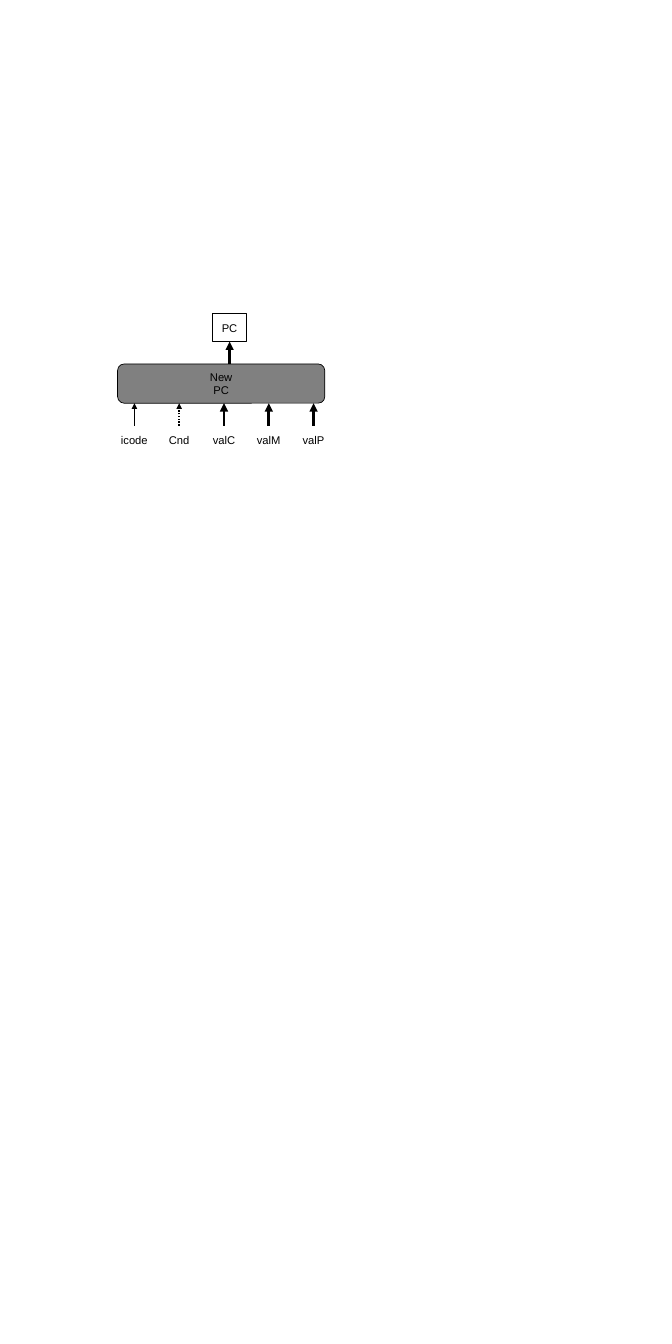
from lxml.etree import SubElement
from pptx import Presentation
from pptx.dml.color import RGBColor
from pptx.enum.dml import MSO_LINE
from pptx.enum.shapes import MSO_CONNECTOR, MSO_SHAPE
from pptx.enum.text import MSO_ANCHOR, PP_ALIGN
from pptx.oxml.ns import qn
from pptx.util import Pt

COLORS = {"ink": "000000", "logic": "808080", "register": "FFFFFF"}
TOP, BOTTOM = 0, 2

# Signal name, arrow weight, arrow dash
SIGNALS = [
    ("icode", 1, None),
    ("Cnd", 1.5, MSO_LINE.ROUND_DOT),
    ("valC", 3, None),
    ("valM", 3, None),
    ("valP", 3, None),
]
SIGNAL_LEFT, SIGNAL_TOP, SIGNAL_STEP = 126, 456, 48
CELL_WIDTH, CELL_HEIGHT = 36, 30
LOGIC_TOP, LOGIC_HEIGHT = 390, 42


def color(name):
    return RGBColor.from_string(COLORS[name])


def add_box(page, text, left, top, width=CELL_WIDTH, height=CELL_HEIGHT,
            kind=MSO_SHAPE.RECTANGLE, fill=None):
    """Add a shape with centred text; without a fill it has no outline either."""
    box = page.shapes.add_shape(kind, Pt(left), Pt(top), Pt(width), Pt(height))
    box.shadow.inherit = False
    if fill:
        box.fill.solid()
        box.fill.fore_color.rgb = color(fill)
        box.line.color.rgb = color("ink")
        box.line.width = Pt(0.75)
    else:
        box.fill.background()
        box.line.fill.background()
    frame = box.text_frame
    frame.word_wrap = False
    frame.vertical_anchor = MSO_ANCHOR.MIDDLE
    frame.text = text
    for para in frame.paragraphs:
        para.alignment = PP_ALIGN.CENTER
        para.font.name = "Arial"
        para.font.size = Pt(12)
        para.font.color.rgb = color("ink")
    return box


def add_up_arrow(page, x, start, end, weight, dash=None):
    arrow = page.shapes.add_connector(
        MSO_CONNECTOR.STRAIGHT, Pt(x), Pt(start), Pt(x), Pt(end))
    arrow.line.color.rgb = color("ink")
    arrow.line.width = Pt(weight)
    if dash:
        arrow.line.dash_style = dash
    properties = arrow.element.spPr
    SubElement(properties.find(qn("a:ln")), qn("a:tailEnd"), type="triangle")
    SubElement(properties, qn("a:effectLst"))
    return arrow


def main():
    deck = Presentation()
    deck.slide_width, deck.slide_height = Pt(720), Pt(1440)
    page = deck.slides.add_slide(deck.slide_layouts[6])

    logic = add_box(page, "New\nPC", SIGNAL_LEFT, LOGIC_TOP, 222, LOGIC_HEIGHT,
                    kind=MSO_SHAPE.ROUNDED_RECTANGLE, fill="logic")
    logic.adjustments[0] = 0.167

    for index, (name, weight, dash) in enumerate(SIGNALS):
        left = SIGNAL_LEFT + index * SIGNAL_STEP
        signal = add_box(page, name, left, SIGNAL_TOP, kind=MSO_SHAPE.OVAL)
        arrow = add_up_arrow(page, left + CELL_WIDTH / 2, SIGNAL_TOP,
                             LOGIC_TOP + LOGIC_HEIGHT, weight, dash)
        arrow.begin_connect(signal, TOP)

    register_left, register_top = 228, 336
    register = add_box(page, "PC", register_left, register_top, fill="register")
    arrow = add_up_arrow(page, register_left + CELL_WIDTH / 2, LOGIC_TOP,
                         register_top + CELL_HEIGHT, 3)
    arrow.end_connect(register, BOTTOM)

    deck.save("out.pptx")


if __name__ == "__main__":
    main()
